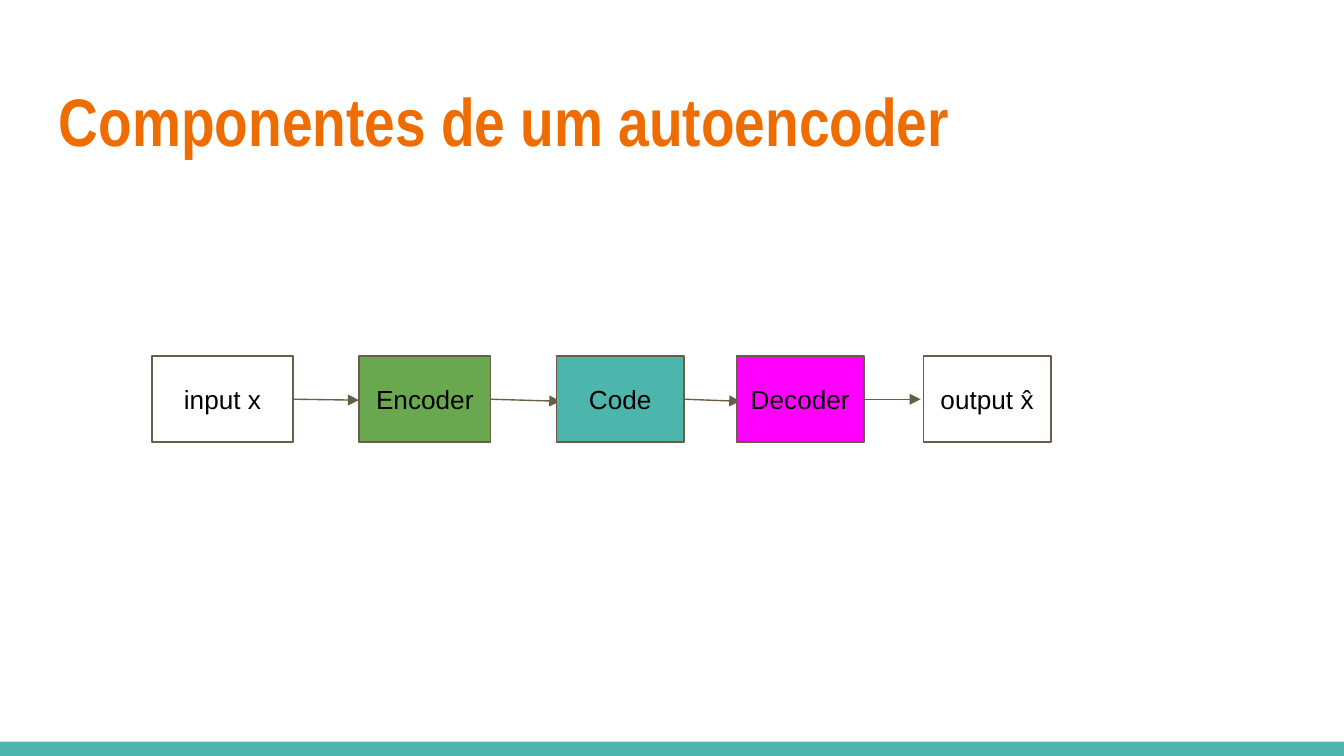
from dataclasses import dataclass

from lxml import etree
from pptx import Presentation
from pptx.dml.color import RGBColor
from pptx.enum.shapes import MSO_CONNECTOR, MSO_SHAPE
from pptx.enum.text import MSO_ANCHOR, PP_ALIGN
from pptx.oxml.ns import qn
from pptx.slide import Slide
from pptx.text.text import TextFrame
from pptx.util import Pt

RECTANGLE = MSO_SHAPE.RECTANGLE
STRAIGHT = MSO_CONNECTOR.STRAIGHT
TOP, MIDDLE = MSO_ANCHOR.TOP, MSO_ANCHOR.MIDDLE
LEFT, CENTER = PP_ALIGN.LEFT, PP_ALIGN.CENTER

COLORS = {
    "title": "EF6C00",
    "text": "000000",
    "outline": "695D46",
    "plain": "FFFFFF",
    "encoder": "6AA84F",
    "teal": "4DB6AC",
    "decoder": "FF00FF",
}
TITLE_FONT = {"name": "Arial Narrow", "size": Pt(36), "bold": True}
STAGE_FONT = {"name": "Arial", "size": Pt(14), "bold": False}
FRAME_FORMAT = {
    "word_wrap": True,
    "margin_left": Pt(7.2),
    "margin_right": Pt(7.2),
    "margin_top": Pt(7.2),
    "margin_bottom": Pt(7.2),
}
SLIDE_WIDTH, SLIDE_HEIGHT = 720, 405
FOOTER_HEIGHT = 7.7
STAGE_TOP, STAGE_HEIGHT = 190.8, 46.1
ARROW_Y = 213.9
LINE_WIDTH = 0.75


@dataclass(frozen=True)
class Stage:
    label: str
    left: float
    width: float
    color: str


@dataclass(frozen=True)
class Arrow:
    end_x: float
    drop: float


STAGES = [
    Stage("input x", 81.4, 75.6, "plain"),
    Stage("Encoder", 192.3, 70.6, "encoder"),
    Stage("Code", 298.1, 68.4, "teal"),
    Stage("Decoder", 394.5, 68.4, "decoder"),
    Stage("output x̂", 494.6, 68.4, "plain"),
]
ARROWS = [Arrow(192.3, 0.5), Arrow(300.2, 1.1), Arrow(396.6, 1.1), Arrow(493.2, 0)]


def color(name: str) -> RGBColor:
    return RGBColor.from_string(COLORS[name])


def write_text(frame: TextFrame, text: str, font: dict, color_name: str,
               alignment: PP_ALIGN, anchor: MSO_ANCHOR) -> None:
    for name, value in FRAME_FORMAT.items():
        setattr(frame, name, value)
    frame.vertical_anchor = anchor
    paragraph = frame.paragraphs[0]
    paragraph.alignment = alignment
    run = paragraph.add_run()
    run.text = text
    for name, value in font.items():
        setattr(run.font, name, value)
    run.font.color.rgb = color(color_name)


def draw_footer(slide: Slide) -> None:
    shape = slide.shapes.add_shape(
        RECTANGLE, 0, Pt(SLIDE_HEIGHT - FOOTER_HEIGHT), Pt(SLIDE_WIDTH), Pt(FOOTER_HEIGHT))
    shape.shadow.inherit = False
    shape.fill.solid()
    shape.fill.fore_color.rgb = color("teal")
    shape.line.fill.background()


def draw_title(slide: Slide, text: str) -> None:
    shape = slide.shapes.add_textbox(Pt(24.5), Pt(35.3), Pt(671), Pt(55.4))
    write_text(shape.text_frame, text, TITLE_FONT, "title", LEFT, TOP)


def draw_stage(slide: Slide, stage: Stage) -> None:
    shape = slide.shapes.add_shape(
        RECTANGLE, Pt(stage.left), Pt(STAGE_TOP), Pt(stage.width), Pt(STAGE_HEIGHT))
    shape.shadow.inherit = False
    shape.fill.solid()
    shape.fill.fore_color.rgb = color(stage.color)
    shape.line.color.rgb = color("outline")
    shape.line.width = Pt(LINE_WIDTH)
    write_text(shape.text_frame, stage.label, STAGE_FONT, "text", CENTER, MIDDLE)


def draw_arrow(slide: Slide, source: Stage, arrow: Arrow) -> None:
    connector = slide.shapes.add_connector(
        STRAIGHT, Pt(source.left + source.width), Pt(ARROW_Y),
        Pt(arrow.end_x), Pt(ARROW_Y + arrow.drop))
    connector.line.color.rgb = color("outline")
    connector.line.width = Pt(LINE_WIDTH)
    properties = connector.element.spPr
    etree.SubElement(properties.find(qn("a:ln")), qn("a:tailEnd"), type="triangle")
    etree.SubElement(properties, qn("a:effectLst"))


def main() -> None:
    presentation = Presentation()
    presentation.slide_width = Pt(SLIDE_WIDTH)
    presentation.slide_height = Pt(SLIDE_HEIGHT)
    slide = presentation.slides.add_slide(presentation.slide_layouts[6])
    draw_footer(slide)
    draw_title(slide, "Componentes de um autoencoder")
    for stage, arrow in zip(STAGES, ARROWS):
        draw_stage(slide, stage)
        draw_arrow(slide, stage, arrow)
    draw_stage(slide, STAGES[-1])
    presentation.save("out.pptx")


if __name__ == "__main__":
    main()
